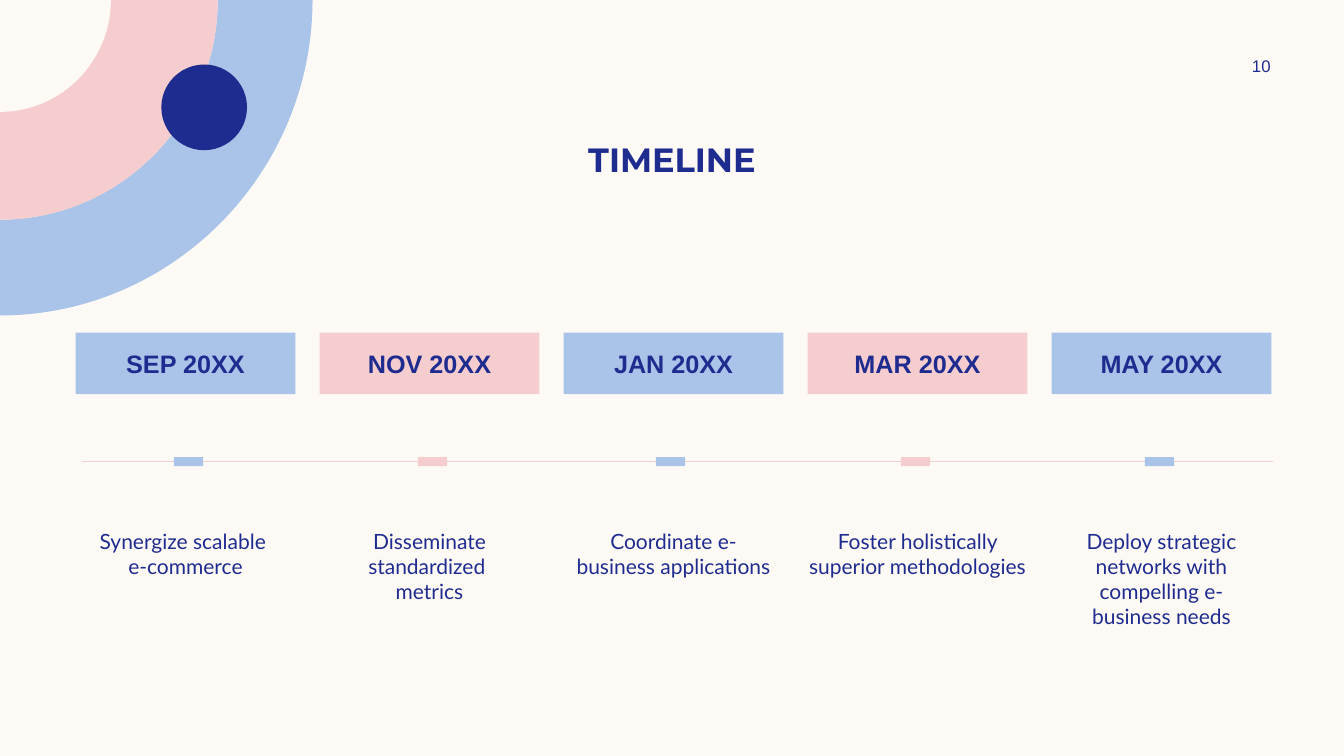
"""Build a timeline slide with five dated milestones and a corner of rings."""
import lxml.etree
import pptx
import pptx.dml.color
import pptx.enum.shapes
import pptx.enum.text
import pptx.oxml.ns
import pptx.util

COLORS = {"cream": "FDFAF6", "blue": "AAC3E8", "pink": "F5CDCE",
          "navy": "1F2C8F", "line": "F2D1D1"}
MARGIN, PITCH, COLUMN = 0.75, 2.42, 2.18
AXIS = 4.58
MARKER_WIDTH, MARKER_HEIGHT = 0.29, 0.09
CURVE = 0.55
inches = pptx.util.Inches
qualified = pptx.oxml.ns.qn
shape_kind = pptx.enum.shapes.MSO_SHAPE
anchors = pptx.enum.text.MSO_ANCHOR

BANDS = [
    (3.1, 3.13, 2.16, 2.18, "blue"),
    (2.16, 2.18, 0, 0, "pink"),
    (1.1, 1.11, 0, 0, "cream"),
]
MILESTONES = [
    ("SEP 20XX", "Synergize scalable \ve-commerce", 1.87),
    ("NOV 20XX", "Disseminate standardized \vmetrics", 4.29),
    ("JAN 20XX", "Coordinate e-\vbusiness applications", 6.65),
    ("MAR 20XX", "Foster holistically superior methodologies", 9.08),
    ("MAY 20XX", "Deploy strategic networks with compelling e-\vbusiness needs", 11.5),
]


def rgb(name):
    return pptx.dml.color.RGBColor.from_string(COLORS[name])


def write(box, text, size, font, bold=False, anchor=anchors.TOP, side=0, edge=0.05):
    frame = box.text_frame
    frame.word_wrap = True
    frame.auto_size = pptx.enum.text.MSO_AUTO_SIZE.NONE
    frame.vertical_anchor = anchor
    frame.margin_left = frame.margin_right = inches(side)
    frame.margin_top = frame.margin_bottom = inches(edge)
    para = frame.paragraphs[0]
    para.text = text
    para.alignment = pptx.enum.text.PP_ALIGN.CENTER
    for span in para.runs:
        span.font.size = pptx.util.Pt(size)
        span.font.name = font
        span.font.bold = bold
        span.font.color.rgb = rgb("navy")


deck = pptx.Presentation()
deck.slide_width, deck.slide_height = inches(13.33), inches(7.5)
page = deck.slides.add_slide(deck.slide_layouts[5])
page.background.fill.solid()
page.background.fill.fore_color.rgb = rgb("cream")
shapes = page.shapes
filled = []

for width, height, inner_width, inner_height, color in BANDS:
    points = [(width, 0), (width, CURVE * height), (CURVE * width, height), (0, height)]
    curve_starts = [0]
    if inner_width:
        points += [(0, inner_height), (CURVE * inner_width, inner_height),
                   (inner_width, CURVE * inner_height), (inner_width, 0)]
        curve_starts.append(4)
    else:
        points.append((0, 0))
    corners = [(inches(x), inches(y)) for x, y in points]
    builder = shapes.build_freeform(*corners[0], scale=1.0)
    builder.add_line_segments(corners[1:], close=True)
    band = builder.convert_to_shape()
    segments = list(band.element.iter(qualified("a:lnTo")))
    for start in curve_starts:
        bend = lxml.etree.Element(qualified("a:cubicBezTo"))
        segments[start].addprevious(bend)
        for segment in segments[start:start + 3]:
            bend.append(segment[0])
            segment.getparent().remove(segment)
    filled.append((band, color))

dot = shapes.add_shape(shape_kind.OVAL, inches(1.6), inches(0.64), inches(0.85), inches(0.85))
filled.append((dot, "navy"))

axis = shapes.add_connector(pptx.enum.shapes.MSO_CONNECTOR.STRAIGHT,
                            inches(0.81), inches(AXIS), inches(12.63), inches(AXIS))
axis.line.color.rgb = rgb("line")
axis.line.width = pptx.util.Pt(1)
lxml.etree.SubElement(axis.element.spPr, qualified("a:effectLst"))

title = shapes.title
title.left, title.top = inches(0.83), inches(1.33)
title.width, title.height = inches(11.67), inches(0.84)
write(title, "TIMELINE", 24, "Montserrat", bold=True, side=0.1)

number = shapes.add_textbox(inches(11.97), inches(0.5), inches(1.08), inches(0.3))
write(number, "10", 12, "Arial", anchor=anchors.MIDDLE, side=0.1)

for index, (date, summary, center) in enumerate(MILESTONES):
    left = inches(MARGIN + index * PITCH)
    color = ("blue", "pink")[index % 2]
    label = shapes.add_shape(shape_kind.RECTANGLE, left, inches(3.3), inches(COLUMN), inches(0.61))
    write(label, date, 18, "Arial", bold=True, anchor=anchors.MIDDLE, edge=0)
    marker = shapes.add_shape(shape_kind.RECTANGLE,
                              inches(center - MARKER_WIDTH / 2), inches(AXIS - MARKER_HEIGHT / 2),
                              inches(MARKER_WIDTH), inches(MARKER_HEIGHT))
    filled += [(label, color), (marker, color)]
    detail = shapes.add_textbox(left, inches(5.19), inches(COLUMN), inches(0.87))
    write(detail, summary, 15, "Lato")

for shape, color in filled:
    shape.shadow.inherit = False
    shape.fill.solid()
    shape.fill.fore_color.rgb = rgb(color)
    shape.line.fill.background()

deck.save("out.pptx")
